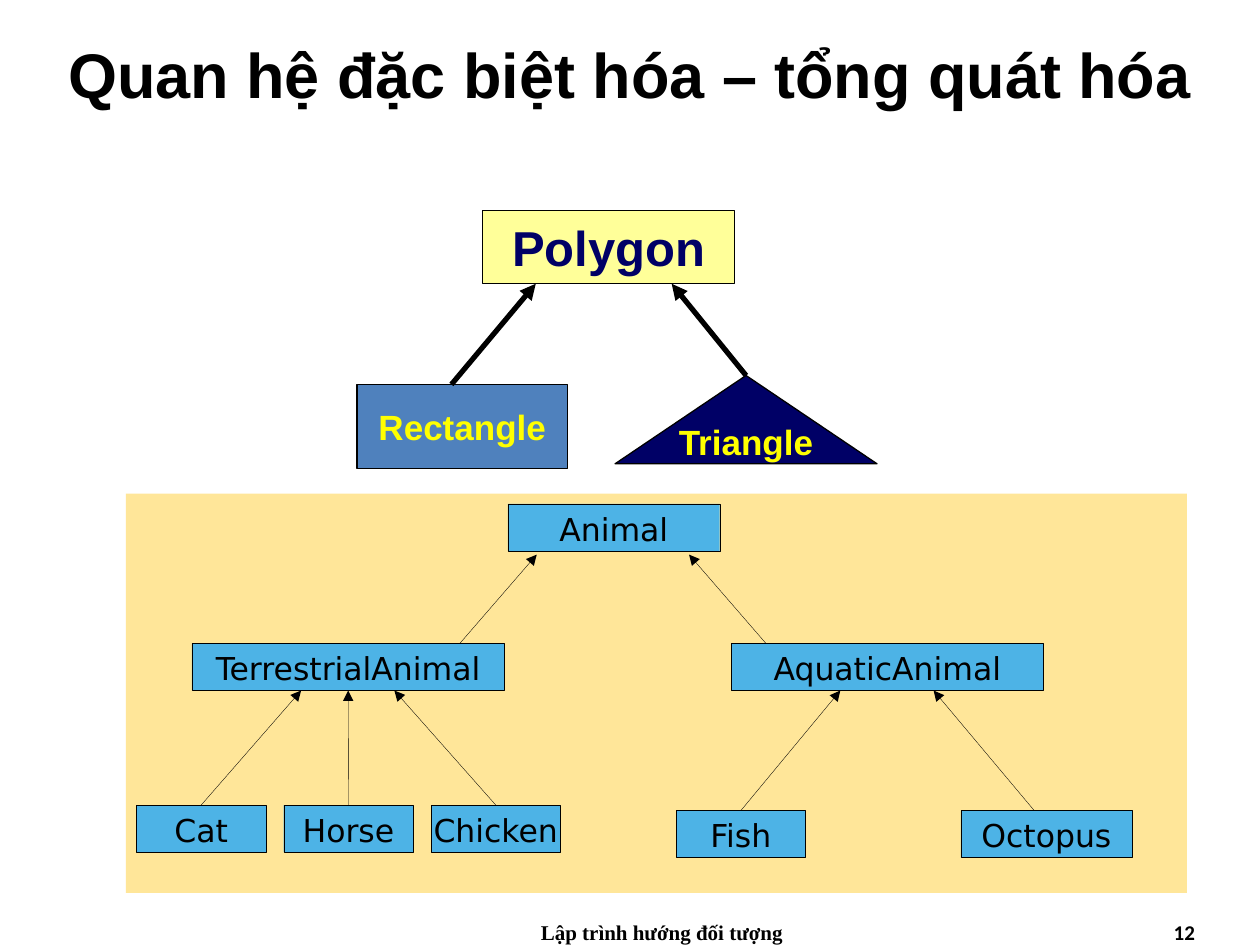
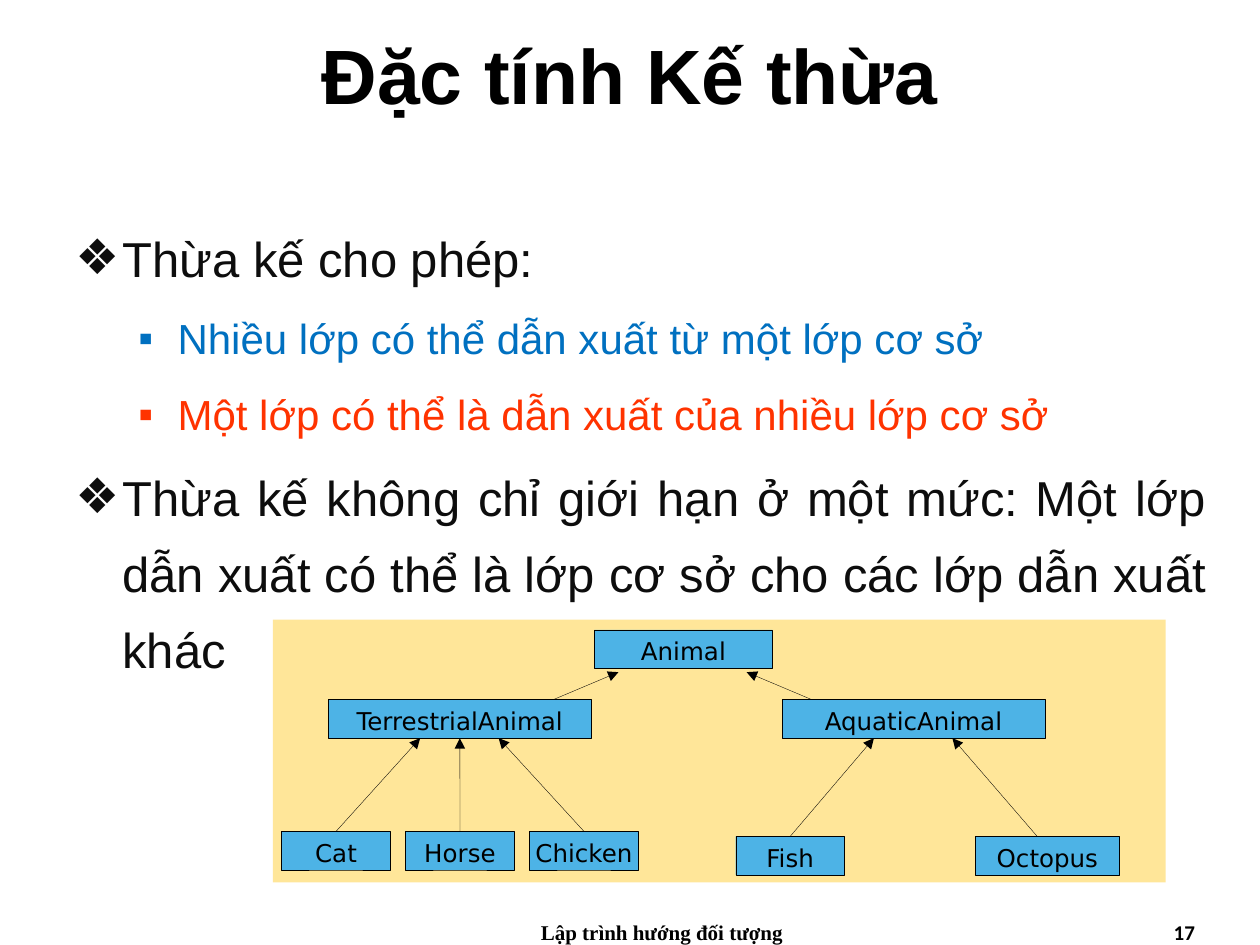
import pptx
import pptx.util
import pptx.dml.color
import pptx.enum.shapes
import pptx.enum.text
import pptx.oxml.ns
from lxml import etree

Cm, Pt = pptx.util.Cm, pptx.util.Pt
rgb = pptx.dml.color.RGBColor.from_string
qn = pptx.oxml.ns.qn
Align = pptx.enum.text.PP_ALIGN
Anchor = pptx.enum.text.MSO_ANCHOR
Preset = pptx.enum.shapes.MSO_SHAPE

BLACK, NAVY, YELLOW = "000000", "000066", "FFFF00"
PANEL, CLASS_FILL = "FFE699", "4DB3E6"


def write(paragraph, text, size, font, colour, bold=False):
    run = paragraph.add_run()
    run.text = text
    run.font.size = Pt(size)
    run.font.name = font
    run.font.bold = bold
    run.font.color.rgb = rgb(colour)


def add_box(slide, preset, left, top, width, height, fill, line_width):
    box = slide.shapes.add_shape(preset, Cm(left), Cm(top), Cm(width), Cm(height))
    box.shadow.inherit = False
    box.fill.solid()
    box.fill.fore_color.rgb = rgb(fill)
    if line_width:
        box.line.color.rgb = rgb(BLACK)
        box.line.width = Pt(line_width)
    else:
        box.line.fill.background()
    box.text_frame.word_wrap = False
    box.text_frame.vertical_anchor = Anchor.MIDDLE
    box.text_frame.paragraphs[0].alignment = Align.CENTER
    return box


deck = pptx.Presentation()
deck.slide_width, deck.slide_height = Cm(25.4), Cm(19.05)

# Titles and footers
slides = []
for heading, heading_size, number in (
    ("Quan hệ đặc biệt hóa – tổng quát hóa", 36, "12"),
    ("Đặc tính Kế thừa", 44, "17"),
):
    slide = deck.slides.add_slide(deck.slide_layouts[5])
    slides.append(slide)
    title = slide.shapes.title
    title.left, title.top, title.width, title.height = Cm(0), Cm(0), Cm(25.4), Cm(2.97)
    title.text_frame.vertical_anchor = Anchor.MIDDLE
    title.text_frame.auto_size = pptx.enum.text.MSO_AUTO_SIZE.NONE
    title.text_frame.paragraphs[0].alignment = Align.CENTER
    write(title.text_frame.paragraphs[0], heading, heading_size, "Arial", BLACK, True)

    for text, left, width, align, font in (
        ("Lập trình hướng đối tượng", 9.32, 8.05, Align.CENTER, "Times New Roman"),
        (number, 18.42, 5.92, Align.RIGHT, "Calibri"),
    ):
        footer = slide.shapes.add_textbox(Cm(left), Cm(18.42), Cm(width), Cm(0.63))
        footer.text_frame.word_wrap = True
        footer.text_frame.paragraphs[0].alignment = align
        write(footer.text_frame.paragraphs[0], text, 12, font, BLACK, True)

relations_slide, inheritance_slide = slides

# Polygon family
polygons = {}
for name, preset, left, top, width, height, fill, size, colour in (
    ("Polygon", Preset.RECTANGLE, 9.73, 4.24, 5.08, 1.48, "FFFF99", 28, NAVY),
    ("Rectangle", Preset.RECTANGLE, 7.2, 7.75, 4.24, 1.7, "4F81BD", 20, YELLOW),
    ("Triangle", Preset.ISOSCELES_TRIANGLE, 12.4, 7.57, 5.28, 1.78, NAVY, 20, YELLOW),
):
    polygons[name] = add_box(relations_slide, preset, left, top, width, height, fill, 0.75)
    write(polygons[name].text_frame.paragraphs[0], name, size, "Arial", colour, True)

# Each arrow: slide, child, start x, parent, end x, gap below parent, line width.
# An x of None means the middle of the side.
arrows = [
    (relations_slide, polygons["Rectangle"], Cm(9.1), polygons["Polygon"], Cm(10.8), 0, 3),
    (relations_slide, polygons["Triangle"], None, polygons["Polygon"], Cm(13.54), 0, 3),
]

# Inheritance rules
rules = inheritance_slide.shapes.add_textbox(Cm(1.27), Cm(4.12), Cm(23.29), Cm(13.6))
rules.text_frame.word_wrap = True
for index, (level, text, colour) in enumerate((
    (0, "Thừa kế cho phép:", "0D0D0D"),
    (1, "Nhiều lớp có thể dẫn xuất từ một lớp cơ sở", "0070C0"),
    (1, "Một lớp có thể là dẫn xuất của nhiều lớp cơ sở", "FF3300"),
    (0, "Thừa kế không chỉ giới hạn ở một mức: Một lớp dẫn xuất có thể là "
        "lớp cơ sở cho các lớp dẫn xuất khác", "0D0D0D"),
)):
    rule = rules.text_frame.paragraphs[0] if index == 0 else rules.text_frame.add_paragraph()
    bullet, indent, hanging, size = (("❖", 0.95, 0.95, 28), ("▪", 2.06, 0.79, 24))[level]
    rule.level = level
    rule.alignment = Align.JUSTIFY
    rule.line_spacing = 1.3
    rule.space_before = Pt(3 if index else 0)
    rule.space_after = Pt(3)
    properties = rule._p.get_or_add_pPr()
    properties.set("marL", str(Cm(indent)))
    properties.set("indent", str(-Cm(hanging)))
    etree.SubElement(properties, qn("a:buFont")).set("typeface", "Arial")
    etree.SubElement(properties, qn("a:buChar")).set("char", bullet)
    write(rule, text, size, "Arial", colour)

# Animal tree: name, row, left and width within a panel 21.39 cm wide
PANEL_WIDTH = 21.39
classes = [
    ("Animal", 0, 7.7, 4.27),
    ("TerrestrialAnimal", 1, 1.33, 6.3),
    ("AquaticAnimal", 1, 12.2, 6.3),
    ("Fish", 3, 11.09, 2.61),
    ("Octopus", 3, 16.83, 3.45),
]
for column, name in enumerate(("Cat", "Horse", "Chicken")):
    classes.append((name, 2, 0.21 + 2.97 * column, 2.61))

# Child, start x, parent, end x, gap below the parent
links = (
    ("TerrestrialAnimal", 6.73, "Animal", 8.28, 0.07),
    ("AquaticAnimal", 12.9, "Animal", 11.35, 0.07),
    ("Cat", None, "TerrestrialAnimal", 3.53, 0),
    ("Horse", None, "TerrestrialAnimal", None, 0),
    ("Chicken", None, "TerrestrialAnimal", 5.41, 0),
    ("Fish", None, "AquaticAnimal", 14.4, 0),
    ("Octopus", 18.31, "AquaticAnimal", 16.28, 0),
)
for slide, panel, row_tops, class_height, size in (
    (relations_slide, (2.54, 9.95, 21.39, 8.05), (10.16, 12.97, 16.23, 16.34), 0.95, 18),
    (inheritance_slide, (5.5, 12.49, 18, 5.3), (12.7, 14.1, 16.76, 16.86), 0.78, 14),
):
    add_box(slide, Preset.RECTANGLE, *panel, PANEL, 0)
    panel_left, scale = panel[0], panel[2] / PANEL_WIDTH
    animals = {}
    for name, row, left, width in classes:
        animal = add_box(slide, Preset.RECTANGLE, panel_left + left * scale, row_tops[row],
                         width * scale, class_height, CLASS_FILL, 0.2)
        frame = animal.text_frame
        frame.margin_left = frame.margin_right = frame.margin_bottom = 0
        frame.margin_top = Cm(0.18)
        frame.paragraphs[0].line_spacing = 0.8
        write(frame.paragraphs[0], name, size, "DejaVu Sans", BLACK)
        animals[name] = animal
    for child, start, parent, end, gap in links:
        start_x, end_x = (None if x is None else Cm(panel_left + x * scale)
                          for x in (start, end))
        arrows.append((slide, animals[child], start_x, animals[parent], end_x, Cm(gap), 0.2))

# Arrows from child to parent
for slide, child, start_x, parent, end_x, gap, weight in arrows:
    arrow = slide.shapes.add_connector(
        pptx.enum.shapes.MSO_CONNECTOR.STRAIGHT,
        start_x or child.left, child.top,
        end_x or parent.left, parent.top + parent.height + gap)
    if start_x is None:
        arrow.begin_connect(child, 0)
    if end_x is None:
        arrow.end_connect(parent, 2)
    arrow.line.color.rgb = rgb(BLACK)
    arrow.line.width = Pt(weight)
    etree.SubElement(arrow.line._get_or_add_ln(), qn("a:tailEnd")).set("type", "triangle")
    etree.SubElement(arrow._element.spPr, qn("a:effectLst"))

deck.save("out.pptx")
